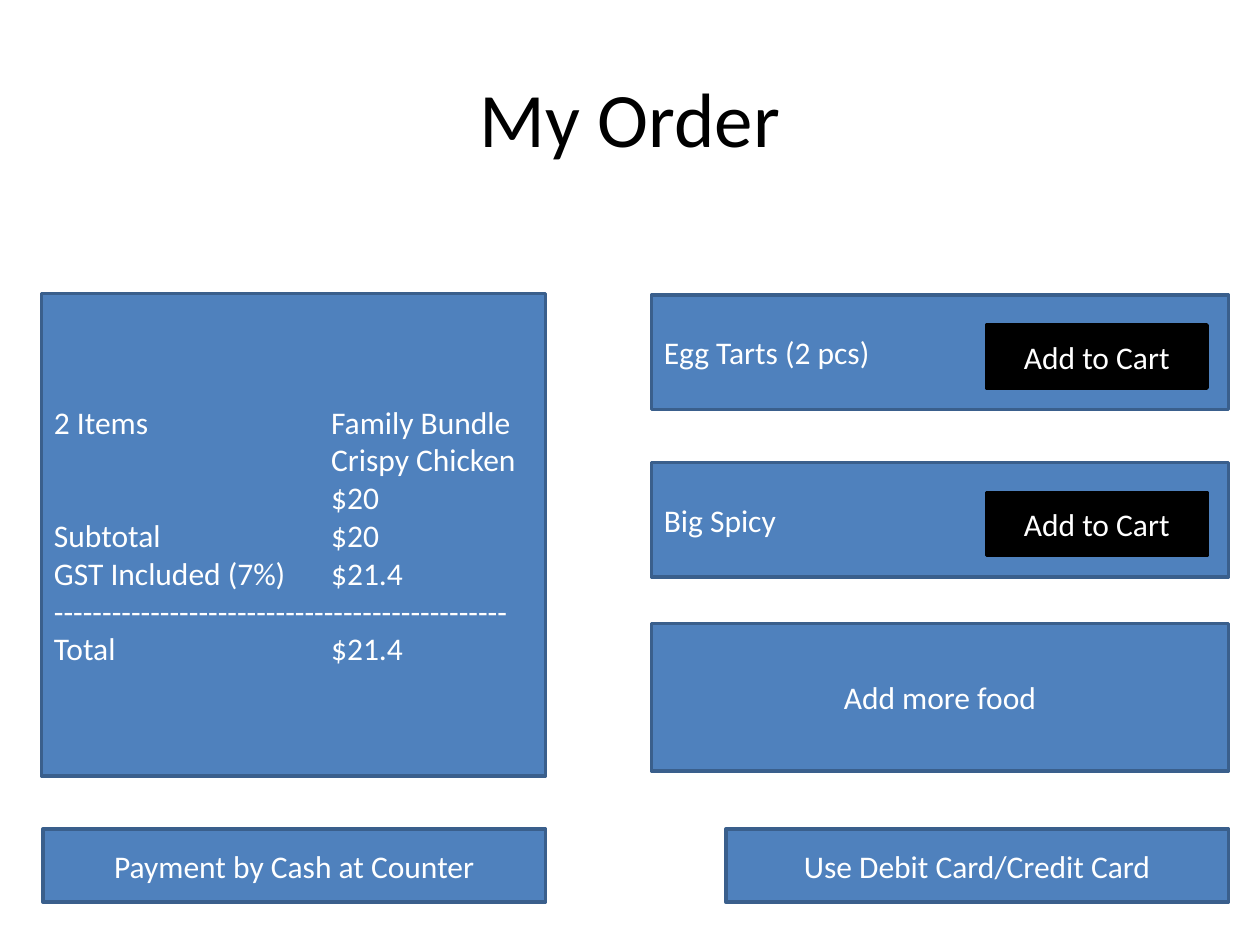
from dataclasses import dataclass

from lxml.etree import SubElement
from pptx import Presentation
from pptx.dml.color import RGBColor
from pptx.enum.shapes import MSO_SHAPE
from pptx.enum.text import MSO_ANCHOR, PP_ALIGN
from pptx.oxml.ns import qn
from pptx.util import Inches, Pt


@dataclass(frozen=True)
class Theme:
    font: str = "Calibri"
    title_size: int = 44
    body_size: int = 18
    line_width: int = 2
    blue: str = "4F81BD"
    blue_line: str = "3A5F8C"
    black: str = "000000"
    white: str = "FFFFFF"


THEME = Theme()
LEFT_EDGE = 0.33
RIGHT_EDGE = 9.75
MENU_LEFT = 5.17
MENU_WIDTH = RIGHT_EDGE - MENU_LEFT
PRICE_TAB = 2.2

RECEIPT = [
    "2 Items\tFamily Bundle",
    "\tCrispy Chicken",
    "\t$20",
    "Subtotal\t$20",
    "GST Included (7%)\t$21.4",
    "-" * 47,
    "Total\t$21.4",
]
EXTRAS = ["Egg Tarts (2 pcs)", "Big Spicy"]


def write_text(shape, text, size, color, alignment):
    frame = shape.text_frame
    frame.word_wrap = True
    frame.vertical_anchor = MSO_ANCHOR.MIDDLE
    frame.text = text
    for paragraph in frame.paragraphs:
        paragraph.alignment = alignment
        for run in paragraph.runs:
            run.font.name = THEME.font
            run.font.size = Pt(size)
            run.font.color.rgb = RGBColor.from_string(color)


def add_title(slide, text):
    title = slide.shapes.add_textbox(Inches(0.5), Inches(0.3), Inches(9), Inches(1.25))
    write_text(title, text, THEME.title_size, THEME.black, PP_ALIGN.CENTER)


def add_box(slide, text, left, top, width, height, alignment=PP_ALIGN.CENTER,
            fill=THEME.blue, line=THEME.blue_line):
    box = slide.shapes.add_shape(
        MSO_SHAPE.RECTANGLE, Inches(left), Inches(top), Inches(width), Inches(height))
    box.shadow.inherit = False
    box.fill.solid()
    box.fill.fore_color.rgb = RGBColor.from_string(fill)
    box.line.color.rgb = RGBColor.from_string(line)
    box.line.width = Pt(THEME.line_width)
    write_text(box, text, THEME.body_size, THEME.white, alignment)
    return box


def add_receipt(slide):
    receipt = add_box(slide, "\n".join(RECEIPT), LEFT_EDGE, 2.33, 4, 3.83, PP_ALIGN.LEFT)
    for paragraph in receipt.text_frame.paragraphs:
        properties = paragraph._p.get_or_add_pPr()
        tabs = SubElement(properties, qn("a:tabLst"))
        SubElement(tabs, qn("a:tab"), pos=str(Inches(PRICE_TAB)), algn="l")


def add_extra(slide, name, top):
    add_box(slide, name, MENU_LEFT, top, MENU_WIDTH, 0.91, PP_ALIGN.LEFT)
    add_box(slide, "Add to Cart", 7.83, top + 0.24, 1.75, 0.5,
            fill=THEME.black, line=THEME.black)


def main():
    presentation = Presentation()
    presentation.slide_width = Inches(10)
    presentation.slide_height = Inches(7.5)
    slide = presentation.slides.add_slide(presentation.slide_layouts[6])

    add_title(slide, "My Order")
    add_box(slide, "Add more food", MENU_LEFT, 4.95, MENU_WIDTH, 1.17)
    add_receipt(slide)
    for index, name in enumerate(EXTRAS):
        add_extra(slide, name, 2.34 + index * 1.33)

    payment_width = 3.99
    payments = [
        ("Payment by Cash at Counter", 0.34),
        ("Use Debit Card/Credit Card", RIGHT_EDGE - payment_width),
    ]
    for label, left in payments:
        add_box(slide, label, left, 6.58, payment_width, 0.58)

    presentation.save("out.pptx")


main()
